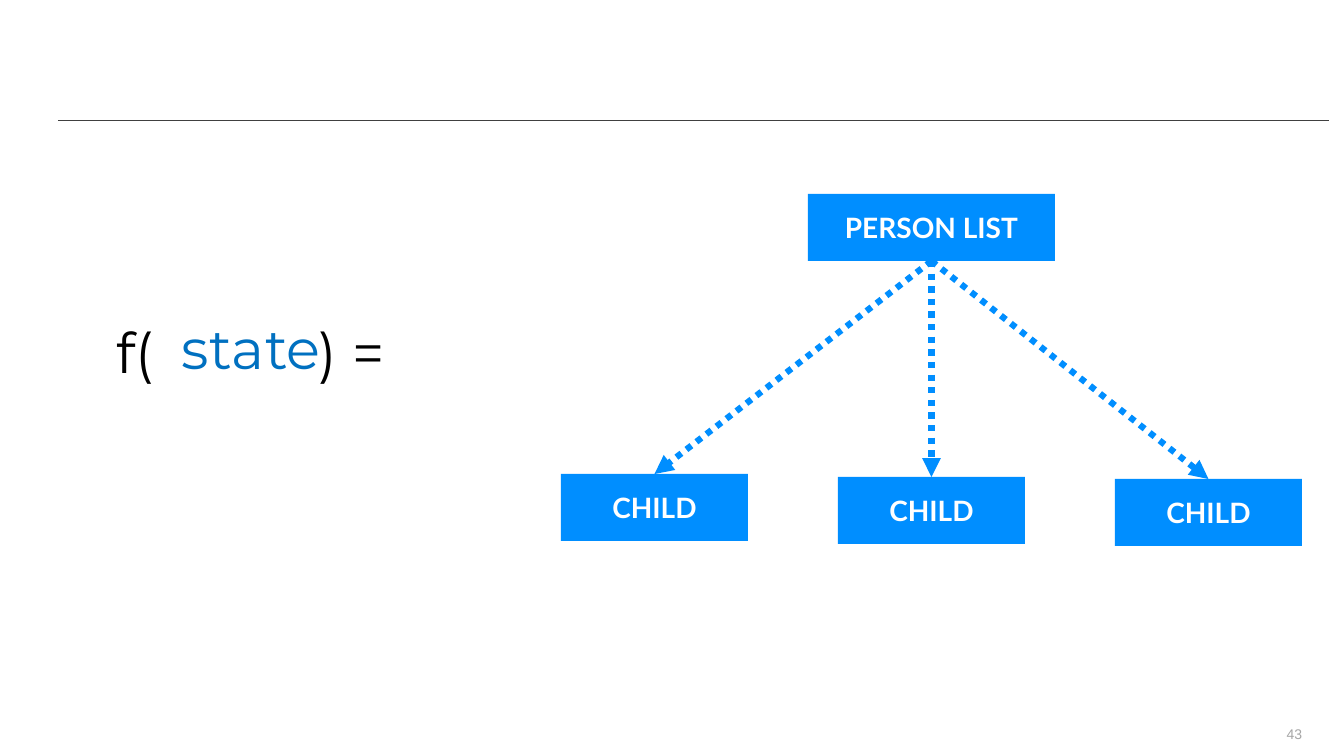
from dataclasses import dataclass

from lxml import etree
from pptx import Presentation
from pptx.dml.color import RGBColor
from pptx.enum.dml import MSO_LINE
from pptx.enum.shapes import MSO_CONNECTOR, MSO_SHAPE
from pptx.enum.text import MSO_ANCHOR, PP_ALIGN
from pptx.oxml.ns import qn
from pptx.util import Emu, Pt

STRAIGHT = MSO_CONNECTOR.STRAIGHT
RECTANGLE = MSO_SHAPE.RECTANGLE
DOTTED = MSO_LINE.ROUND_DOT
TOP, MIDDLE, BOTTOM = MSO_ANCHOR.TOP, MSO_ANCHOR.MIDDLE, MSO_ANCHOR.BOTTOM
LEFT, CENTER, RIGHT = PP_ALIGN.LEFT, PP_ALIGN.CENTER, PP_ALIGN.RIGHT
TOP_SIDE, BOTTOM_SIDE = 0, 2


@dataclass(frozen=True)
class Theme:
    node: str = "008EFF"
    node_text: str = "FFFFFF"
    formula: str = "000000"
    state: str = "0070C0"
    rule: str = "404040"
    page: str = "A6A6A6"
    node_font: str = "Lato"
    formula_font: str = "Montserrat"
    page_font: str = "Arial"
    node_size: int = 20
    formula_size: int = 40
    page_size: int = 10
    arrow_width: float = 4.5
    rule_width: float = 0.5


THEME = Theme()

SLIDE_SIZE = (1344, 756)
RULE = (58, 120, 1329, 120)
PARENT = ("PERSON LIST", (808, 194, 247, 67))
CHILDREN = [("CHILD", 474), ("CHILD", 477), ("CHILD", 479)]
CHILD_LEFT, CHILD_STEP, CHILD_WIDTH, CHILD_HEIGHT = 561, 277, 187, 67
FORMULA = ("f(\t) =", (111, 318, 378, 104), THEME.formula, 0.85)
STATE = ("state", (176, 319, 174, 67), THEME.state, 0.75)
FORMULA_INSETS = (0, 10, 0, 5)
FORMULA_INDENT = 6
CLOSING_TAB = 202
PAGE = ("43", (1268, 719, 34, 23))


def px(length):
    return Emu(round(length * 914400 / 100.8))


def box_of(box):
    return [px(length) for length in box]


def rgb(color):
    return RGBColor.from_string(color)


def write(frame, text, font, size, color, align, anchor, bold=False, tab=None):
    frame.word_wrap = True
    frame.vertical_anchor = anchor
    paragraph = frame.paragraphs[0]
    paragraph.text = text
    paragraph.alignment = align
    if tab:
        tabs = etree.SubElement(paragraph._p.get_or_add_pPr(), qn("a:tabLst"))
        etree.SubElement(tabs, qn("a:tab"), pos=str(px(tab)), algn="l")
    paragraph.font.name = font
    paragraph.font.size = Pt(size)
    paragraph.font.bold = bold
    paragraph.font.color.rgb = rgb(color)
    return paragraph


def set_insets(frame, insets):
    (frame.margin_left, frame.margin_top,
     frame.margin_right, frame.margin_bottom) = box_of(insets)


def add_line(slide, ends, color, width):
    line = slide.shapes.add_connector(STRAIGHT, *box_of(ends))
    line.line.color.rgb = rgb(color)
    line.line.width = Pt(width)
    etree.SubElement(line._element.spPr, qn("a:effectLst"))
    return line


def add_node(slide, label, box):
    node = slide.shapes.add_shape(RECTANGLE, *box_of(box))
    node.shadow.inherit = False
    node.fill.solid()
    node.fill.fore_color.rgb = rgb(THEME.node)
    node.line.fill.background()
    write(node.text_frame, label, THEME.node_font, THEME.node_size,
          THEME.node_text, CENTER, MIDDLE, bold=True)
    return node


def add_arrow(slide, parent, child):
    arrow = add_line(slide, (0, 0, 1, 1), THEME.node, THEME.arrow_width)
    arrow.begin_connect(parent, BOTTOM_SIDE)
    arrow.end_connect(child, TOP_SIDE)
    arrow.line.dash_style = DOTTED
    etree.SubElement(arrow.line._get_or_add_ln(), qn("a:tailEnd"), type="triangle")


def add_formula(slide, text, box, color, spacing, tab=None):
    frame = slide.shapes.add_textbox(*box_of(box)).text_frame
    set_insets(frame, FORMULA_INSETS)
    paragraph = write(frame, text, THEME.formula_font, THEME.formula_size,
                      color, LEFT, TOP, tab=tab)
    paragraph.line_spacing = spacing
    paragraph.space_after = Pt(12)
    paragraph._p.get_or_add_pPr().set("marL", str(px(FORMULA_INDENT)))


def add_page_number(slide, number, box):
    frame = slide.shapes.add_textbox(*box_of(box)).text_frame
    set_insets(frame, (0, 0, 0, 0))
    write(frame, number, THEME.page_font, THEME.page_size, THEME.page, RIGHT, BOTTOM)


def main():
    deck = Presentation()
    deck.slide_width, deck.slide_height = box_of(SLIDE_SIZE)
    slide = deck.slides.add_slide(deck.slide_layouts[6])

    add_line(slide, RULE, THEME.rule, THEME.rule_width)
    add_page_number(slide, *PAGE)

    parent = add_node(slide, *PARENT)
    children = [
        add_node(slide, label,
                 (CHILD_LEFT + column * CHILD_STEP, top, CHILD_WIDTH, CHILD_HEIGHT))
        for column, (label, top) in enumerate(CHILDREN)
    ]
    for child in children:
        add_arrow(slide, parent, child)

    add_formula(slide, *FORMULA, tab=CLOSING_TAB)
    add_formula(slide, *STATE)
    deck.save("out.pptx")


if __name__ == "__main__":
    main()
